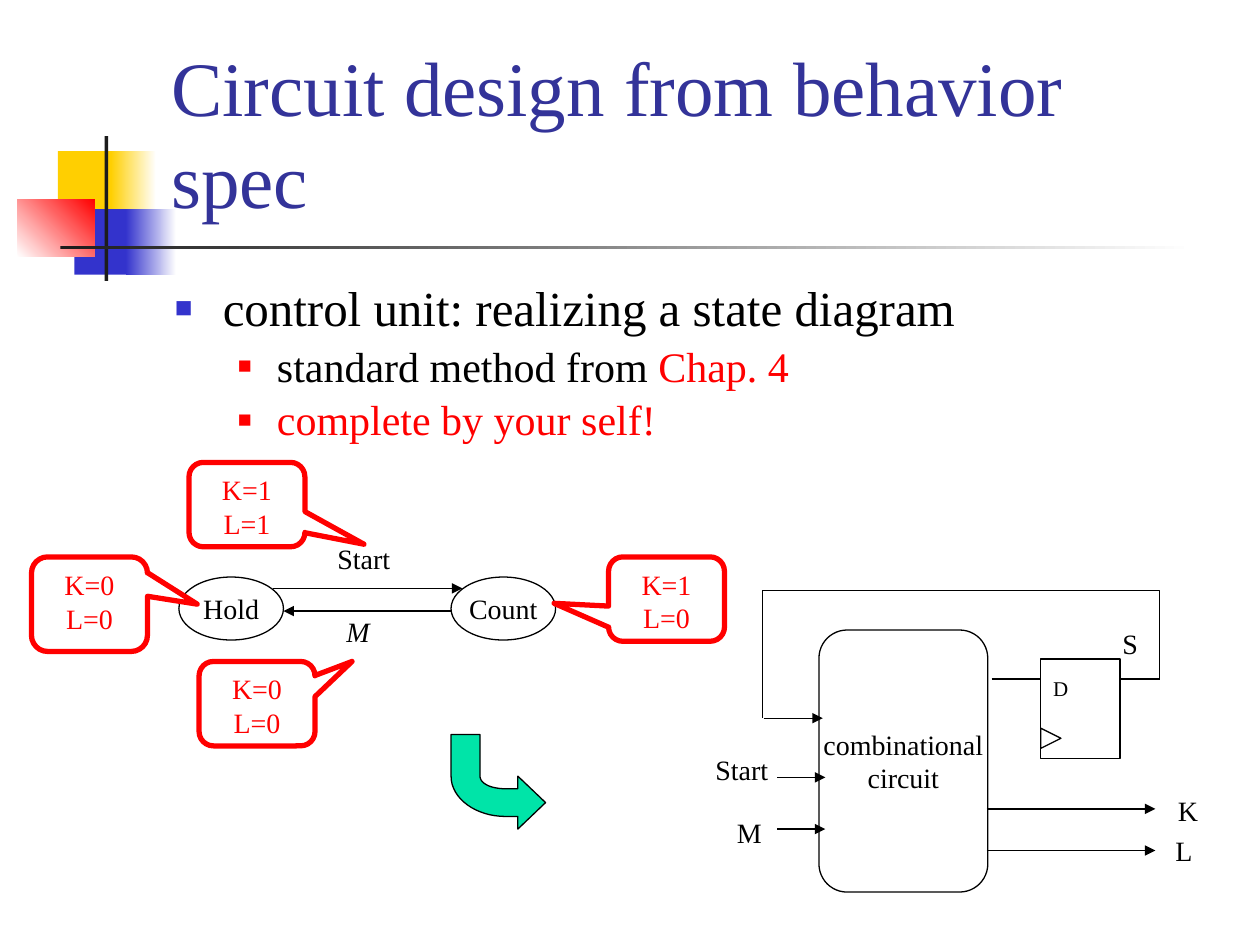
from lxml import etree
from pptx import Presentation
from pptx.dml import color
from pptx.enum import shapes, text
from pptx.oxml import ns
from pptx import util as u

SCALE = 9144
FONT = "Times New Roman"
KIND = shapes.MSO_SHAPE
COLORS = {
    "yellow": "FFCF01", "blue": "3333CC", "red": "FF0000", "dark": "1C1C1C",
    "white": "FFFFFF", "black": "000000", "title": "333399", "green": "00E4A8",
}
FREE = {"word_wrap": False, "auto_size": text.MSO_AUTO_SIZE.SHAPE_TO_FIT_TEXT}
MIDDLE = {"word_wrap": False, "vertical_anchor": text.MSO_ANCHOR.MIDDLE}
TOP = {"word_wrap": True, "vertical_anchor": text.MSO_ANCHOR.TOP}
BOTTOM = {"word_wrap": True, "vertical_anchor": text.MSO_ANCHOR.BOTTOM,
          "auto_size": text.MSO_AUTO_SIZE.NONE}
CENTER = {"alignment": text.PP_ALIGN.CENTER}


def px(*values):
    return [u.Emu(round(value * SCALE)) for value in values]


def rgb(name):
    return color.RGBColor.from_string(COLORS[name])


def assign(target, values):
    for name, value in values.items():
        setattr(target, name, value)


def add_span(para, words, size, ink="black", italic=False):
    span = para.add_run()
    span.text = words
    assign(span.font, {"name": FONT, "size": u.Pt(size), "italic": italic})
    span.font.color.rgb = rgb(ink)


def write(shape, lines, size, ink="black", frame=FREE, layout=None, italic=False):
    assign(shape.text_frame, frame)
    for index, line in enumerate(lines):
        paras = shape.text_frame.paragraphs
        para = shape.text_frame.add_paragraph() if index else paras[0]
        assign(para, layout or {})
        add_span(para, line, size, ink, italic)


def paint(shape, fill=None, line=None, width=0.75):
    shape.shadow.inherit = False
    if fill:
        shape.fill.solid()
        shape.fill.fore_color.rgb = rgb(fill)
    else:
        shape.fill.background()
    if line:
        shape.line.color.rgb = rgb(line)
        shape.line.width = u.Pt(width)
    else:
        shape.line.fill.background()


def add_outline(page, kind, place, lines=()):
    shape = page.shapes.add_shape(kind, *px(*place))
    paint(shape, line="black")
    if lines:
        write(shape, lines, 16, frame=MIDDLE, layout=CENTER)
    return shape


def add_block(page, place, start, end=None, angle=0):
    block = page.shapes.add_shape(KIND.RECTANGLE, *px(*place))
    paint(block, start)
    if end:
        block.fill.gradient()
        block.fill.gradient_angle = angle
        for stop, name in zip(block.fill.gradient_stops, (start, end)):
            stop.color.rgb = rgb(name)


def add_label(page, place, words, size=16, italic=False):
    box = page.shapes.add_textbox(*px(*place))
    write(box, [words], size, italic=italic)


def add_line(page, ends, arrow=False, kind=shapes.MSO_CONNECTOR.STRAIGHT):
    line = page.shapes.add_connector(kind, *px(*ends))
    line.line.color.rgb = rgb("black")
    line.line.width = u.Pt(0.75)
    if arrow:
        etree.SubElement(line.line._get_or_add_ln(), ns.qn("a:tailEnd"), type="triangle")
    etree.SubElement(line.element.spPr, ns.qn("a:effectLst"))
    return line


def add_feedback(page):
    line = add_line(page, (747, 397, 778, 712), kind=shapes.MSO_CONNECTOR.ELBOW)
    properties = line.element.spPr
    properties.find(ns.qn("a:xfrm")).set("rot", "5400000")
    geometry = properties.find(ns.qn("a:prstGeom"))
    guides = geometry.find(ns.qn("a:avLst"))
    if guides is None:
        guides = etree.SubElement(geometry, ns.qn("a:avLst"))
    etree.SubElement(guides, ns.qn("a:gd"), name="adj1", fmla="val -227100")


def add_callout(page, place, tip, lines):
    callout = page.shapes.add_shape(KIND.ROUNDED_RECTANGULAR_CALLOUT, *px(*place))
    paint(callout, "white", "red", 3)
    for index, value in enumerate(tip):
        callout.adjustments[index] = value
    write(callout, lines, 16, "red", TOP, CENTER)


def curve(points, steps=16):
    weights = (1, 3, 3, 1)
    return [
        tuple(sum(w * (1 - t) ** (3 - i) * t ** i * point[axis]
                  for i, (w, point) in enumerate(zip(weights, points)))
              for axis in (0, 1))
        for t in (step / steps for step in range(1, steps + 1))
    ]


def add_turn_arrow(page):
    outer = curve([(401, 648), (378, 648), (358, 634), (358, 616)])
    inner = curve([(381, 616), (381, 622), (390, 626), (401, 626)])
    points = [(411, 658), (411, 648), (401, 648), *outer, (358, 583), (381, 583),
              (381, 616), *inner, (411, 626), (411, 616)]
    builder = page.shapes.build_freeform(*px(433, 637))
    builder.add_line_segments([px(*point) for point in points], close=True)
    paint(builder.convert_to_shape(), "green", "black")


def add_bullet(para, level, size, bullet, percent, spans):
    assign(para, {"level": level, "line_spacing": 0.9, "space_before": u.Pt(size * 0.2)})
    left, hang = ((38, 38), (81, 31))[level]
    properties = para._p.get_or_add_pPr()
    for name, value in zip(("marL", "indent"), px(left, -hang)):
        properties.set(name, str(value))
    ink = etree.SubElement(properties, ns.qn("a:buClr"))
    etree.SubElement(ink, ns.qn("a:srgbClr"), val=COLORS[bullet])
    etree.SubElement(properties, ns.qn("a:buSzPct"), val=str(percent * 1000))
    etree.SubElement(properties, ns.qn("a:buFont"), typeface=FONT)
    etree.SubElement(properties, ns.qn("a:buChar"), char="■")
    for words, name in spans:
        add_span(para, words, size, name)


def add_heading(page):
    for block in (
        ((46, 120, 48, 52), "yellow"),
        ((88, 120, 36, 52), "yellow", "white"),
        ((59, 166, 46, 52), "blue"),
        ((100, 166, 40, 52), "blue", "white"),
        ((14, 158, 61, 46), "white", "red", 45),
        ((83, 108, 3, 115), "dark"),
        ((48, 195, 900, 3), "dark", "white"),
    ):
        add_block(page, *block)
    title = page.shapes.title
    assign(title, dict(zip(("left", "top", "width", "height"), px(126, 23, 852, 160))))
    write(title, ["Circuit design from behavior spec"], 44, "title", BOTTOM,
          {"alignment": text.PP_ALIGN.LEFT})
    page.shapes.element.append(title.element)


def add_body(page):
    box = page.shapes.add_textbox(*px(129, 221, 850, 146))
    assign(box.text_frame, TOP)
    first = box.text_frame.paragraphs[0]
    add_bullet(first, 0, 28, "blue", 60,
               [("control unit: realizing a state diagram", "black")])
    for spans in ([("standard method from ", "black"), ("Chap. 4", "red")],
                  [("complete by your self!", "red")]):
        add_bullet(box.text_frame.add_paragraph(), 1, 24, "red", 55, spans)


def add_state_diagram(page):
    for left, state in ((142, "Hold"), (358, "Count")):
        add_outline(page, KIND.OVAL, (left, 458, 83, 50), [state])
    add_line(page, (217, 467, 367, 467), True)
    add_line(page, (358, 485, 225, 485), True)
    add_label(page, (258, 425, 62, 37), "Start")
    add_label(page, (265, 483, 39, 37), "M", italic=True)
    for place, tip, lines in (
        ((25, 442, 92, 75), (0.93, 0, 0.17), ("K=0", "L=0")),
        ((483, 442, 92, 67), (-0.97, 0.05, 0.17), ("K=1", "L=0")),
        ((150, 367, 92, 67), (1.01, 0.47, 0.17), ("K=1", "L=1")),
        ((158, 525, 92, 67), (0.82, -0.5, 0.17), ("K=0", "L=0")),
    ):
        add_callout(page, place, tip, lines)


def add_circuit(page):
    add_outline(page, KIND.RECTANGLE, (826, 523, 63, 79))
    add_label(page, (826, 531, 32, 30), "D", 12)
    add_outline(page, KIND.ISOSCELES_TRIANGLE, (826, 578, 16, 16)).rotation = 90
    add_outline(page, KIND.ROUNDED_RECTANGLE, (650, 500, 134, 208),
                ["combinational", "circuit"])
    for start, end, y, arrow in (
        (889, 921, 539, False), (787, 826, 539, False), (606, 653, 570, True),
        (617, 655, 617, True), (617, 655, 658, True),
        (783, 917, 642, True), (783, 917, 675, True),
    ):
        add_line(page, (start, y, end, y), arrow)
    add_feedback(page)
    for left, top, width, words in (
        (558, 592, 62, "Start"), (575, 642, 40, "M"), (881, 492, 32, "S"),
        (925, 625, 36, "K"), (923, 657, 34, "L"),
    ):
        add_label(page, (left, top, width, 37), words)


def main():
    deck = Presentation()
    deck.slide_width, deck.slide_height = px(1000, 750)
    page = deck.slides.add_slide(deck.slide_layouts[5])
    add_heading(page)
    add_body(page)
    add_turn_arrow(page)
    add_state_diagram(page)
    add_circuit(page)
    deck.save("out.pptx")


if __name__ == "__main__":
    main()
